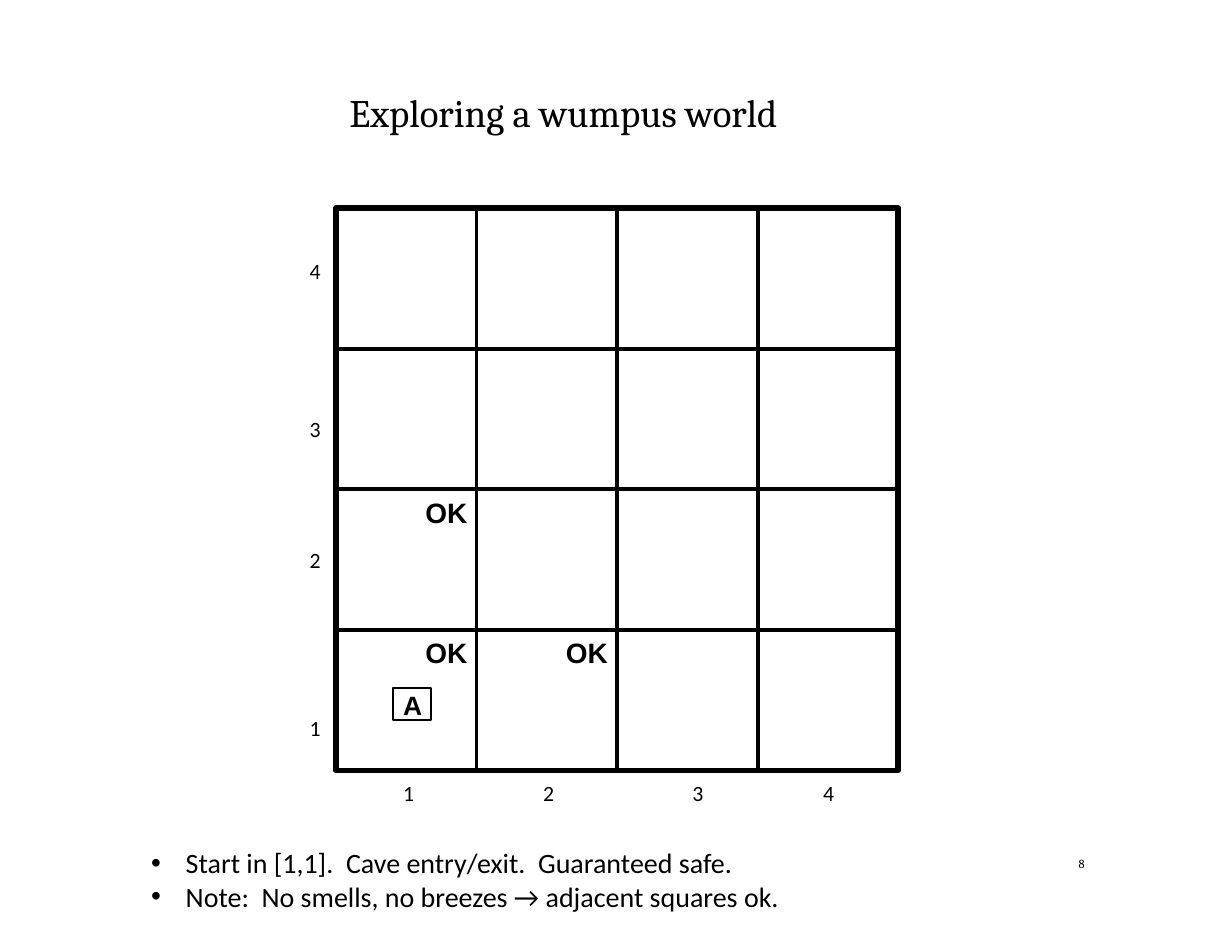
from pptx import Presentation
from pptx.util import Inches, Pt
from pptx.dml.color import RGBColor
from pptx.enum.shapes import MSO_SHAPE
from pptx.enum.text import PP_ALIGN, MSO_ANCHOR
from pptx.oxml.ns import qn
from lxml.etree import SubElement
from itertools import product

theme = {
    "ink": RGBColor(0, 0, 0),
    "title": ("Cambria", 25, False),
    "page": ("Cambria", 8, False),
    "mark": ("Arial", 18, True),
    "agent": ("Arial", 17, True),
    "note": ("Calibri", 18, False),
    "axis": ("Calibri", 14, False),
}

deck = Presentation()
deck.slide_width, deck.slide_height = Inches(11), Inches(8.5)
slide = deck.slides.add_slide(deck.slide_layouts[6])
unit = deck.slide_width / 132
left, top, cell, size = 36, 22.32, 15.06, 4


def box(x, y, w, h, line=0):
    spot = [round(n * unit) for n in (x, y, w, h)]
    if not line:
        return slide.shapes.add_textbox(*spot)
    shape = slide.shapes.add_shape(MSO_SHAPE.RECTANGLE, *spot)
    shape.shadow.inherit = False
    shape.fill.background()
    shape.line.color.rgb = theme["ink"]
    shape.line.width = Pt(line)
    return shape


def write(shape, text, style, inset=None, indent=0, wrap=True):
    frame = shape.text_frame
    frame.text = text
    frame.word_wrap = wrap
    frame.vertical_anchor = MSO_ANCHOR.TOP
    if inset is not None:
        frame.margin_left = frame.margin_right = Inches(0)
        frame.margin_top, frame.margin_bottom = Inches(inset), Inches(0)
    name, points, bold = theme[style]
    for para in frame.paragraphs:
        para.alignment = PP_ALIGN.LEFT
        if indent:
            para._p.get_or_add_pPr().set("marL", str(Inches(indent)))
        for run in para.runs:
            run.font.name, run.font.size = name, Pt(points)
            run.font.bold = bold
            run.font.color.rgb = theme["ink"]
    return frame


title = write(box(15.36, 10.44, 101.4, 4.32), "Exploring a wumpus world", "title", 0, 1.84)
title.paragraphs[0].line_spacing = Pt(24.3)
page = write(box(115.2, 91.92, 2.04, 1.44), "8", "page", 0, 0.03)
page.paragraphs[0].line_spacing = Pt(8.6)

for row, col in product(range(size), repeat=2):
    box(left + col * cell, top + row * cell, cell, cell, 2.5)
box(left, top, size * cell, size * cell, 3.77)

for col, row in ((0, 2), (0, 3), (1, 3)):
    mark = box(left + col * cell + 9.45, top + row * cell + 0.6, 4.68, 3.6)
    write(mark, "OK", "mark", 0, 0.01)

agent = write(box(42.12, 73.68, 4.08, 3.48, 1.25), "A", "agent", 0.01, 0.09)
agent.paragraphs[0].space_before = Pt(0.6)

notes = (
    "Start in [1,1].  Cave entry/exit.  Guaranteed safe.",
    "Note:  No smells, no breezes → adjacent squares ok.",
)
frame = write(box(15, 90, 70, 8.5), "\n".join(notes), "note", indent=0.31, wrap=False)
for para in frame.paragraphs:
    props = para._p.get_or_add_pPr()
    props.set("indent", str(-Inches(0.31)))
    SubElement(props, qn("a:buFont")).set("typeface", "Arial")
    SubElement(props, qn("a:buChar")).set("char", "•")

for num, (x, y) in enumerate(zip((42, 57, 73, 87), (76, 58, 44, 27)), 1):
    write(box(x, 83, 3, 4), str(num), "axis")
    write(box(32, y, 3, 4), str(num), "axis")

deck.save("out.pptx")
